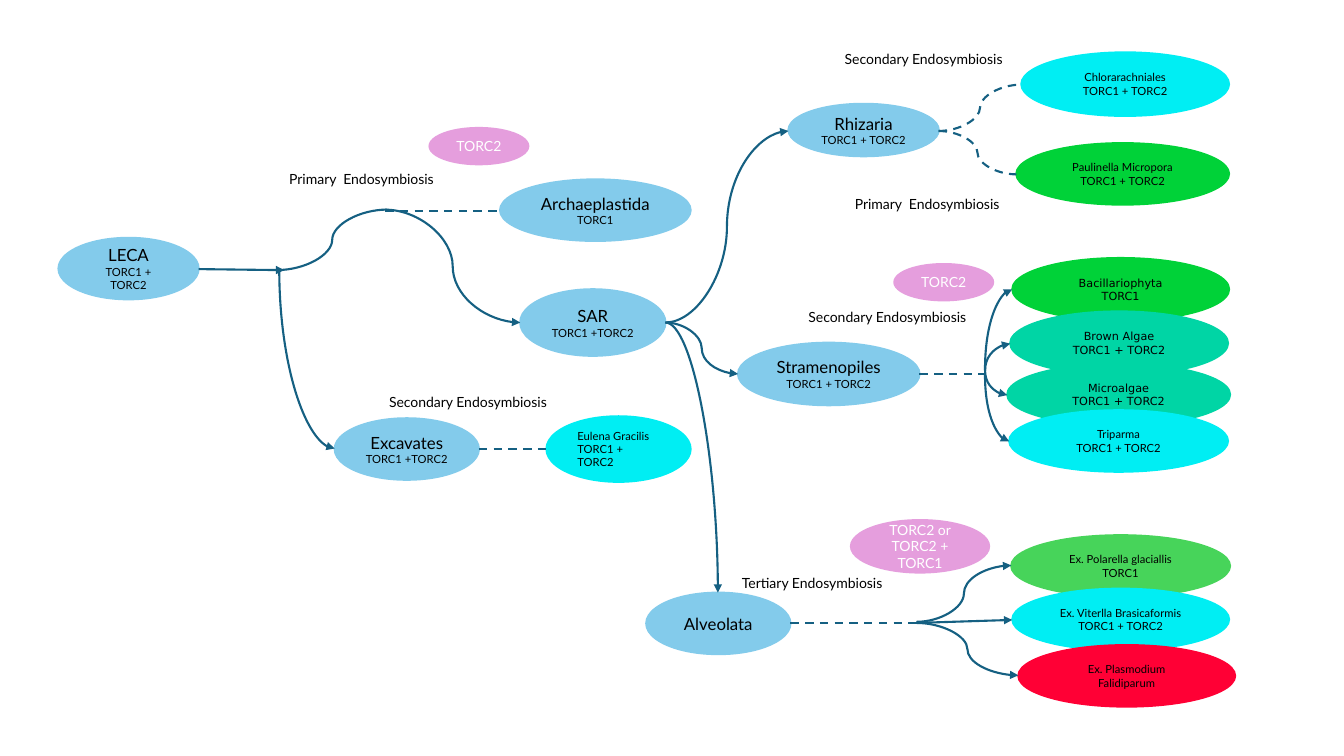
from lxml.etree import SubElement as add_sub
from pptx import Presentation
from pptx.dml.color import RGBColor as RGB
from pptx.enum.dml import MSO_LINE_DASH_STYLE as DASH
from pptx.enum.shapes import MSO_CONNECTOR as LINK, MSO_SHAPE as SHAPE
from pptx.enum.text import MSO_ANCHOR as ANCHOR, PP_ALIGN as ALIGN
from pptx.oxml.ns import qn
from pptx.util import Pt

PX = 9144
SKY = RGB(0x83, 0xCB, 0xEB)
PINK = RGB(0xE5, 0x9E, 0xDD)
AQUA = RGB(0x00, 0xEE, 0xF3)
GREEN = RGB(0x00, 0xD2, 0x38)
TEAL = RGB(0x00, 0xD5, 0xA5)
LIME = RGB(0x47, 0xD4, 0x5A)
RED = RGB(0xFF, 0x00, 0x35)
NAVY = RGB(0x15, 0x60, 0x82)
BLACK = RGB(0, 0, 0)
WHITE = RGB(0xFF, 0xFF, 0xFF)
SANS = "Lato"
WIDE = "DejaVu Sans"
BOTH = "TORC1 + TORC2"
TIGHT = "TORC1 +TORC2"

CLADES = [
    ((58, 236, 139, 61), ["LECA", BOTH]),
    ((516, 287, 144, 66), ["SAR", TIGHT]),
    ((496, 178, 189, 61), ["Archaeplastida", "TORC1"]),
    ((332, 415, 143, 61), ["Excavates", TIGHT]),
    ((732, 340, 180, 62), ["Stramenopiles", BOTH]),
    ((782, 103, 149, 52), ["Rhizaria", BOTH]),
    ((641, 588, 143, 61), ["Alveolata"]),
]
LEAVES = [
    ((1013, 52, 206, 63), AQUA, SANS, ["Chlorarachniales", BOTH]),
    ((1008, 142, 211, 61), GREEN, SANS, ["Paulinella Micropora", BOTH]),
    ((1004, 256, 215, 62), GREEN, WIDE, ["Bacillariophyta", "TORC1"]),
    ((1002, 309, 216, 63), TEAL, WIDE, ["Brown Algae", BOTH]),
    ((999, 361, 221, 61), TEAL, WIDE, ["Microalgae", BOTH]),
    ((1001, 407, 217, 61), AQUA, SANS, ["Triparma", BOTH]),
    ((1003, 531, 217, 61), LIME, SANS, ["Ex. Polarella glaciallis", "TORC1"]),
    ((1004, 584, 215, 61), AQUA, SANS, ["Ex. Viterlla Brasicaformis", BOTH]),
    ((1010, 640, 215, 61), RED, SANS, ["Ex. Plasmodium Falidiparum"]),
]
LOSSES = [
    ((426, 127, 98, 36), "TORC2"),
    ((887, 262, 98, 36), "TORC2"),
    ((844, 516, 137, 52), "TORC2 or TORC2 + TORC1"),
]
EVENTS = [
    ((277, 164, 177, 27), "Primary  Endosymbiosis"),
    ((792, 301, 206, 27), "Secondary Endosymbiosis"),
    ((376, 385, 189, 27), "Secondary Endosymbiosis"),
    ((838, 189, 206, 27), "Primary  Endosymbiosis"),
    ((828, 45, 206, 27), "Secondary Endosymbiosis"),
    ((726, 565, 172, 27), "Tertiary Endosymbiosis"),
]
DASHES = [
    (382, 209, 496, 209),
    (475, 445, 542, 445),
    (912, 371, 977, 371),
    (784, 618, 916, 618),
]
ARROWS = [(197, 267, 282, 268), (909, 618, 1004, 615)]
WAVES = [
    (660, 320, 782, 130),
    (382, 208, 516, 320),
    (660, 320, 732, 371),
    (909, 617, 1003, 561),
    (909, 618, 1010, 670),
]
FORKS = [(931, 130, 1008, 173), (931, 130, 1013, 84)]
BENDS = [
    (332, 445, 277, 267),
    (1004, 287, 977, 367),
    (1002, 341, 977, 368),
    (1001, 438, 977, 372),
    (999, 392, 977, 367),
]


def scale(box):
    return [n * PX for n in box]


def write(frame, lines, sizes, font, color, align):
    frame.word_wrap = True
    for i, (line, size) in enumerate(zip(lines, sizes)):
        para = frame.paragraphs[0] if i == 0 else frame.add_paragraph()
        para.alignment = align
        run = para.add_run()
        run.text = line
        run.font.size = Pt(size)
        run.font.name = font
        run.font.color.rgb = color


def oval(page, box, fill, lines, sizes, font=SANS, color=BLACK, align=ALIGN.CENTER):
    node = page.shapes.add_shape(SHAPE.OVAL, *scale(box))
    node.shadow.inherit = False
    node.fill.solid()
    node.fill.fore_color.rgb = fill
    node.line.color.rgb = fill
    node.line.width = Pt(1.5)
    node.text_frame.vertical_anchor = ANCHOR.MIDDLE
    write(node.text_frame, lines, sizes, font, color, align)


def label(page, box, text):
    note = page.shapes.add_textbox(*scale(box))
    write(note.text_frame, [text], [10], SANS, BLACK, ALIGN.LEFT)


def link(page, ends, kind, tip=None, dash=False, bend=False):
    wire = page.shapes.add_connector(kind, *scale(ends))
    wire.line.color.rgb = NAVY
    wire.line.width = Pt(1.5)
    if dash:
        wire.line.dash_style = DASH.DASH
    props = wire.element.spPr
    if bend:
        props.find(qn("a:prstGeom")).set("prst", "curvedConnector2")
    if tip:
        add_sub(props.find(qn("a:ln")), qn(tip)).set("type", "triangle")
    add_sub(props, qn("a:effectLst"))


def main():
    deck = Presentation()
    deck.slide_width, deck.slide_height = scale((1333, 750))
    page = deck.slides.add_slide(deck.slide_layouts[6])

    for box, lines in CLADES:
        oval(page, box, SKY, lines, [12, 8])
    for box, fill, font, lines in LEAVES:
        oval(page, box, fill, lines, [8, 8], font)
    oval(page, (542, 413, 143, 65), AQUA, ["Eulena Gracilis", BOTH], [8, 8],
         align=ALIGN.LEFT)
    for box, text in LOSSES:
        oval(page, box, PINK, [text], [10], color=WHITE)
    for box, text in EVENTS:
        label(page, box, text)

    for ends in DASHES:
        link(page, ends, LINK.STRAIGHT, dash=True)
    for ends in ARROWS:
        link(page, ends, LINK.STRAIGHT, "a:tailEnd")
    for ends in WAVES:
        link(page, ends, LINK.CURVE, "a:tailEnd")
    for ends in FORKS:
        link(page, ends, LINK.CURVE, dash=True)
    link(page, (275, 268, 384, 208), LINK.CURVE)
    for ends in BENDS:
        link(page, ends, LINK.CURVE, "a:headEnd", bend=True)
    link(page, (660, 320, 712, 588), LINK.CURVE, "a:tailEnd", bend=True)

    deck.save("out.pptx")


if __name__ == "__main__":
    main()
